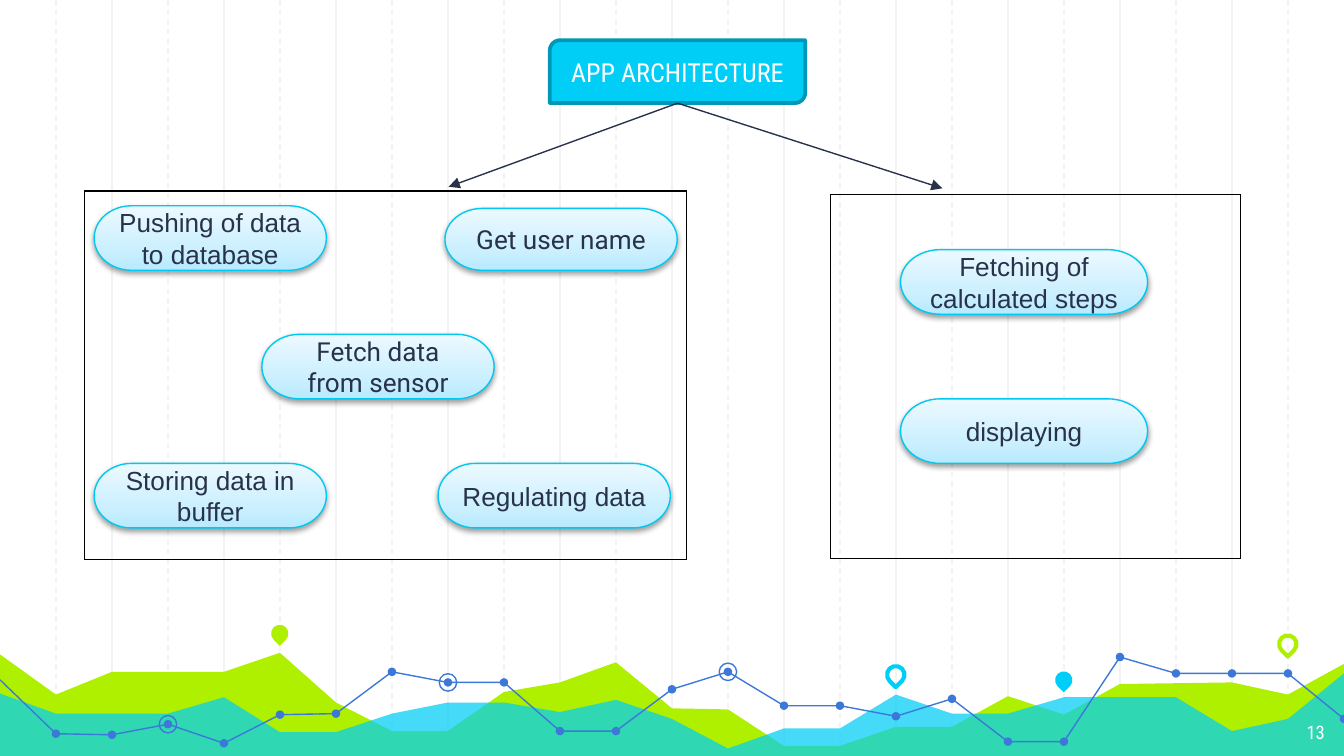
from copy import deepcopy

from lxml import etree
from pptx import Presentation
from pptx.dml.color import RGBColor
from pptx.enum.dml import MSO_LINE
from pptx.enum.shapes import MSO_CONNECTOR, MSO_SHAPE
from pptx.enum.text import MSO_ANCHOR, PP_ALIGN
from pptx.oxml.ns import qn
from pptx.util import Cm, Pt

STRAIGHT = MSO_CONNECTOR.STRAIGHT
OVAL, TEARDROP = MSO_SHAPE.OVAL, MSO_SHAPE.TEAR
HEADER, PILL = MSO_SHAPE.ROUND_2_DIAG_RECTANGLE, MSO_SHAPE.FLOWCHART_TERMINATOR
DASH = MSO_LINE.DASH
CENTER, RIGHT = PP_ALIGN.CENTER, PP_ALIGN.RIGHT
MIDDLE, TOP = MSO_ANCHOR.MIDDLE, MSO_ANCHOR.TOP

COLORS = {
    "grid": "F3F3F3", "green": "AFF000", "cyan": "00CEF6", "blue": "3C78D8",
    "header_edge": "0098B6", "pill_edge": "00C9F1", "ink": "28324A",
    "white": "FFFFFF", "black": "000000",
    "pill_bottom": "B8EAFF", "pill_middle": "CDF0FF", "pill_top": "ECF9FF",
}
RGB = {name: RGBColor.from_string(value) for name, value in COLORS.items()}


def paint(shape, fill=None, line=None, width=0.75):
    """Set fill and outline by colour name and remove the shadow."""
    shape.shadow.inherit = False
    if fill:
        shape.fill.solid()
        shape.fill.fore_color.rgb = RGB[fill]
    else:
        shape.fill.background()
    if line:
        shape.line.color.rgb = RGB[line]
        shape.line.width = Pt(width)
    else:
        shape.line.fill.background()


def write(shape, text, font="Arial", size=14, color="ink", align=CENTER, anchor=MIDDLE):
    frame = shape.text_frame
    frame.word_wrap = True
    frame.vertical_anchor = anchor
    paragraph = frame.paragraphs[0]
    paragraph.alignment = align
    run = paragraph.add_run()
    run.text = text
    run.font.name = font
    run.font.size = Pt(size)
    run.font.color.rgb = RGB[color]


prs = Presentation()
prs.slide_width, prs.slide_height = Cm(25.4), Cm(14.29)
slide = prs.slides.add_slide(prs.slide_layouts[6])
shapes = slide.shapes
STEP = 25.4 / 24  # spacing of the background grid, in cm

# Vertical grid: solid on even columns, dashed on odd ones
for column in [*range(2, 24, 2), *range(1, 24, 2)]:
    x = Cm(column * STEP)
    grid_line = shapes.add_connector(STRAIGHT, x, 0, x, prs.slide_height)
    grid_line.line.color.rgb = RGB["grid"]
    grid_line.line.width = Pt(0.75)
    if column % 2:
        grid_line.line.dash_style = DASH
    etree.SubElement(grid_line._element.spPr, qn("a:effectLst"))

# Landscape areas: height of each grid column, None where the edge runs straight
green_hills = [12.37, 13.13, 12.7, None, 12.7, 12.34, 13.28, 13.82, 13.82, 13.08,
               12.9, 12.52, 13.39, 13.41, 14.1, 14.1, 13.74, 13.74, 13.16, 13.51,
               12.93, None, 12.9, 13.13, 12.55]
cyan_hills = [13.11, 13.49, None, 13.49, 13.18, 13.84, 13.84, 13.49, 13.28, 13.28,
              13.46, 13.23, 13.59, 14.15, 13.77, 13.77, 13.13, 13.49, 13.49, 13.18,
              None, 13.18, 13.82, 13.59, 12.73]
for heights, color in ((green_hills, "green"), (cyan_hills, "cyan")):
    edge = [(Cm(i * STEP), Cm(y)) for i, y in enumerate(heights) if y]
    floor = [(prs.slide_width, prs.slide_height), (0, prs.slide_height)]
    builder = shapes.build_freeform(*edge[0], scale=1.0)
    builder.add_line_segments(edge[1:] + floor, close=True)
    hills = builder.convert_to_shape()
    paint(hills, fill=color)
hills_color = hills._element.spPr.find(qn("a:solidFill"))[0]
etree.SubElement(hills_color, qn("a:alpha"), val="73000")

# Map pins: column, centre height, fill, outline
for column, y, fill, line in ((5, 11.98, "green", None), (16, 12.76, None, "cyan"),
                              (19, 12.86, "cyan", None), (23, 12.18, None, "green")):
    pin = shapes.add_shape(TEARDROP, Cm(column * STEP - 0.17), Cm(y - 0.17),
                           Cm(0.33), Cm(0.33))
    pin.rotation = 135
    paint(pin, fill, line, 2.25)

# Trend line with a dot on every column and rings on some
trend = [12.85, 13.87, 13.89, 13.69, 14.05, 13.51, 13.49, 12.7, 12.9, 12.9, 13.82,
         13.82, 13.03, 12.7, 13.34, 13.34, 13.54, 13.21, 14.02, 14.02, 12.42,
         12.73, 12.73, 12.73, 13.59]
points = [(Cm(i * STEP), Cm(y)) for i, y in enumerate(trend)]
builder = shapes.build_freeform(*points[0], scale=1.0)
builder.add_line_segments(points[1:], close=False)
paint(builder.convert_to_shape(), line="blue")
dots = [(i, 0.16, "blue", None) for i in range(1, 25)]
rings = [(i, 0.33, None, "blue") for i in (3, 8, 13)]
for column, size, fill, line in dots + rings:
    marker = shapes.add_shape(OVAL, Cm(column * STEP - size / 2),
                              Cm(trend[column] - size / 2), Cm(size), Cm(size))
    paint(marker, fill, line)

# Slide number
page_number = shapes.add_textbox(Cm(23.77), Cm(13.41), Cm(1.52), Cm(0.89))
frame = page_number.text_frame
frame.margin_left = frame.margin_right = frame.margin_top = frame.margin_bottom = Cm(0.25)
write(page_number, "13", font="Roboto Condensed", size=10, color="white",
      align=RIGHT, anchor=TOP)

# Header
header = shapes.add_shape(HEADER, Cm(10.39), Cm(0.76), Cm(4.83), Cm(1.19))
paint(header, "cyan", "header_edge", 2)
write(header, "APP ARCHITECTURE", font="Roboto Condensed", color="white")

# Steps: left, top, width, height, text, font
steps = [
    (8.41, 3.94, 4.39, 1.17, "Get user name", "Roboto"),
    (4.95, 6.32, 4.39, 1.22, "Fetch data from sensor", "Roboto"),
    (1.78, 8.76, 4.39, 1.22, "Storing data in buffer", "Arial"),
    (8.28, 8.76, 4.39, 1.22, "Regulating data", "Arial"),
    (17.02, 7.54, 4.67, 1.22, "displaying", "Arial"),
    (17.02, 4.72, 4.67, 1.22, "Fetching of calculated steps", "Arial"),
    (1.78, 3.89, 4.39, 1.22, "Pushing of data to database", "Arial"),
]
for left, top, width, height, text, font in steps:
    step = shapes.add_shape(PILL, Cm(left), Cm(top), Cm(width), Cm(height))
    paint(step, line="pill_edge")
    step.fill.gradient()
    step.fill.gradient_angle = 90
    properties = step._element.spPr
    first_stop = properties.find(".//" + qn("a:gs"))
    middle_stop = deepcopy(first_stop)
    middle_stop.set("pos", "35000")
    first_stop.addnext(middle_stop)
    for stop, color in zip(step.fill.gradient_stops,
                           ("pill_bottom", "pill_middle", "pill_top")):
        stop.color.rgb = RGB[color]
    shadow = etree.SubElement(properties.find(qn("a:effectLst")), qn("a:outerShdw"),
                              blurRad="40000", dist="20000", dir="5400000", rotWithShape="0")
    shadow_color = etree.SubElement(shadow, qn("a:srgbClr"), val=COLORS["black"])
    etree.SubElement(shadow_color, qn("a:alpha"), val="38000")
    write(step, text, font=font)

# Group frames: one-cell tables with a thin border
for left, top, width, height in ((1.6, 3.61, 11.38, 6.96), (15.7, 3.68, 7.75, 6.88)):
    group = shapes.add_table(1, 1, Cm(left), Cm(top), Cm(width), Cm(height)).table
    group.first_row = group.horz_banding = False
    cell = group.cell(0, 0)
    cell.fill.background()
    for i, side in enumerate(("a:lnL", "a:lnR", "a:lnT", "a:lnB")):
        border = etree.Element(qn(side), w=str(Pt(0.75)))
        border_fill = etree.SubElement(border, qn("a:solidFill"))
        etree.SubElement(border_fill, qn("a:srgbClr"), val=COLORS["black"])
        cell._tc.tcPr.insert(i, border)

# Arrows from the header to the two groups
for x, y in ((8.48, 3.53), (17.81, 3.56)):
    arrow = shapes.add_connector(STRAIGHT, Cm(12.8), Cm(1.95), Cm(x), Cm(y))
    arrow.begin_connect(header, 2)
    arrow.line.color.rgb = RGB["ink"]
    arrow.line.width = Pt(0.75)
    etree.SubElement(arrow.line._get_or_add_ln(), qn("a:tailEnd"), type="triangle")
    etree.SubElement(arrow._element.spPr, qn("a:effectLst"))

prs.save("out.pptx")
